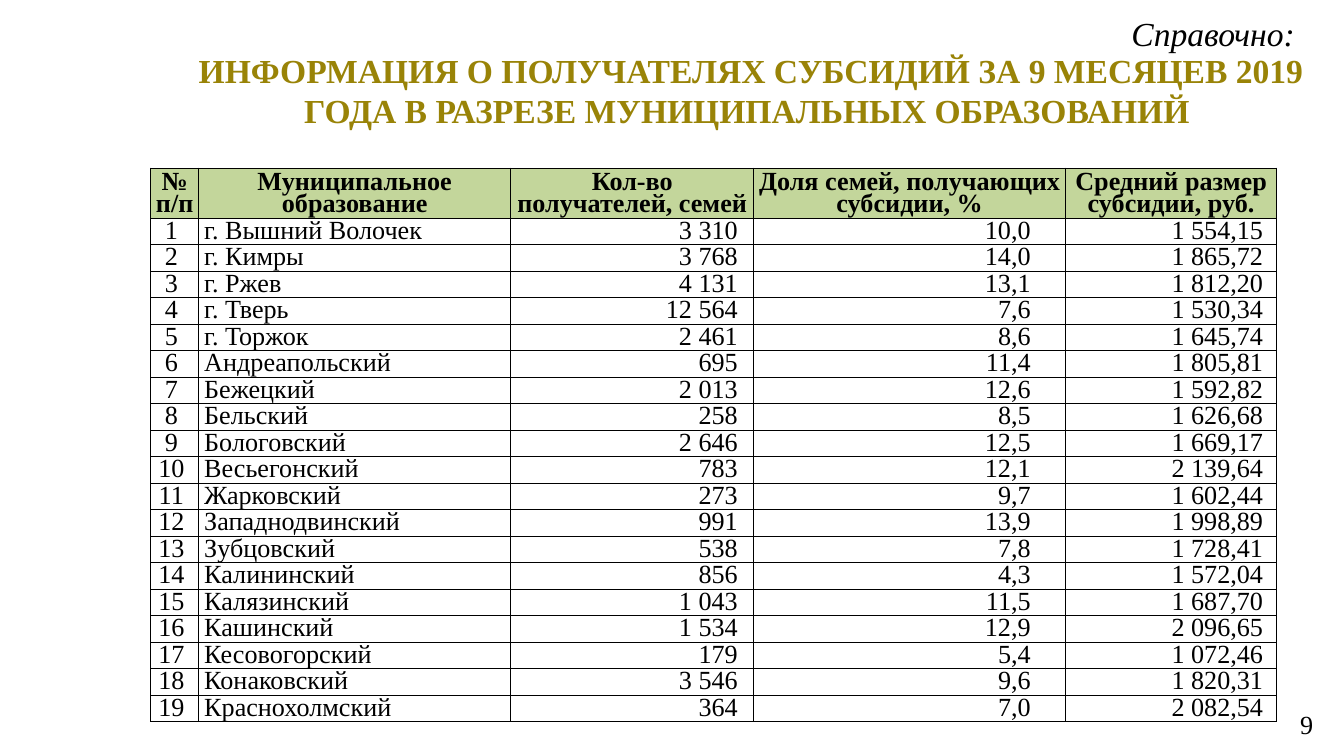
from lxml import etree
from pptx import Presentation
from pptx.dml.color import RGBColor
from pptx.enum.text import MSO_ANCHOR, MSO_AUTO_SIZE, PP_ALIGN
from pptx.oxml.ns import qn
from pptx.util import Inches, Pt

FONT = "Times New Roman"
BLACK = RGBColor(0x00, 0x00, 0x00)
WHITE = RGBColor(0xFF, 0xFF, 0xFF)
GREEN = RGBColor(0xC3, 0xD6, 0x9B)
OLIVE = RGBColor(0x99, 0x83, 0x07)

HEADERS = [
    "№\vп/п",
    "Муниципальное образование",
    "Кол-во получателей, семей",
    "Доля семей, получающих субсидии, %",
    "Средний размер субсидии, руб.",
]
ROWS = [
    ("г. Вышний Волочек", "3 310", "10,0", "1 554,15"),
    ("г. Кимры", "3 768", "14,0", "1 865,72"),
    ("г. Ржев", "4 131", "13,1", "1 812,20"),
    ("г. Тверь", "12 564", "7,6", "1 530,34"),
    ("г. Торжок", "2 461", "8,6", "1 645,74"),
    ("Андреапольский", "695", "11,4", "1 805,81"),
    ("Бежецкий", "2 013", "12,6", "1 592,82"),
    ("Бельский", "258", "8,5", "1 626,68"),
    ("Бологовский", "2 646", "12,5", "1 669,17"),
    ("Весьегонский", "783", "12,1", "2 139,64"),
    ("Жарковский", "273", "9,7", "1 602,44"),
    ("Западнодвинский", "991", "13,9", "1 998,89"),
    ("Зубцовский", "538", "7,8", "1 728,41"),
    ("Калининский", "856", "4,3", "1 572,04"),
    ("Калязинский", "1 043", "11,5", "1 687,70"),
    ("Кашинский", "1 534", "12,9", "2 096,65"),
    ("Кесовогорский", "179", "5,4", "1 072,46"),
    ("Конаковский", "3 546", "9,6", "1 820,31"),
    ("Краснохолмский", "364", "7,0", "2 082,54"),
]
COL_WIDTHS = [0.36, 2.32, 1.81, 2.32, 1.57]
COL_FORMATS = [
    (PP_ALIGN.CENTER, 0, 0.05),
    (PP_ALIGN.LEFT, 0.04, 0),
    (PP_ALIGN.RIGHT, 0, 0.12),
    (PP_ALIGN.RIGHT, 0, 0.26),
    (PP_ALIGN.RIGHT, 0, 0.1),
]
HEADER_HEIGHT = 0.37


def write(tf, text, size=14, color=BLACK, bold=False, italic=False,
          align=PP_ALIGN.LEFT, spacing=None):
    tf.text = text
    p = tf.paragraphs[0]
    p.alignment = align
    if spacing:
        p.line_spacing = Pt(spacing)
    for r in p.runs:
        r.font.name = FONT
        r.font.size = Pt(size)
        r.font.bold = bold
        r.font.italic = italic
        r.font.color.rgb = color


def add_title(slide, left, top, width, height):
    sp = slide.shapes.title
    sp.left, sp.top = Inches(left), Inches(top)
    sp.width, sp.height = Inches(width), Inches(height)
    tf = sp.text_frame
    tf.auto_size = MSO_AUTO_SIZE.NONE
    tf.vertical_anchor = MSO_ANCHOR.MIDDLE
    write(tf, "ИНФОРМАЦИЯ О ПОЛУЧАТЕЛЯХ СУБСИДИЙ ЗА 9 МЕСЯЦЕВ 2019 ГОДА "
              "В РАЗРЕЗЕ МУНИЦИПАЛЬНЫХ ОБРАЗОВАНИЙ ",
          size=18, color=OLIVE, bold=True, align=PP_ALIGN.CENTER)


def add_label(slide, text, left, top, width, height,
              anchor=MSO_ANCHOR.TOP, **fmt):
    sp = slide.shapes.add_textbox(Inches(left), Inches(top),
                                  Inches(width), Inches(height))
    tf = sp.text_frame
    tf.word_wrap = True
    tf.vertical_anchor = anchor
    write(tf, text, **fmt)


def set_borders(cell):
    tc_pr = cell._tc.get_or_add_tcPr()
    for i, side in enumerate(("a:lnL", "a:lnR", "a:lnT", "a:lnB")):
        ln = etree.Element(qn(side), w=str(Pt(0.5)))
        fill = etree.SubElement(ln, qn("a:solidFill"))
        etree.SubElement(fill, qn("a:srgbClr"), val=str(BLACK))
        tc_pr.insert(i, ln)


def fill_cell(cell, text, color, anchor, left, top, right, **fmt):
    cell.margin_left, cell.margin_right = Inches(left), Inches(right)
    cell.margin_top, cell.margin_bottom = Inches(top), 0
    cell.vertical_anchor = anchor
    cell.fill.solid()
    cell.fill.fore_color.rgb = color
    set_borders(cell)
    write(cell.text_frame, text, spacing=12, **fmt)


def add_recipients(slide, left, top, height):
    table = slide.shapes.add_table(
        len(ROWS) + 1, len(HEADERS), Inches(left), Inches(top),
        Inches(sum(COL_WIDTHS)), Inches(height)).table
    for col, width in zip(table.columns, COL_WIDTHS):
        col.width = Inches(width)
    for row in table.rows:
        row.height = Inches((height - HEADER_HEIGHT) / len(ROWS))
    table.rows[0].height = Inches(HEADER_HEIGHT)

    for j, text in enumerate(HEADERS):
        fill_cell(table.cell(0, j), text, GREEN, MSO_ANCHOR.MIDDLE,
                  0.01, 0.04, 0.01, bold=True, align=PP_ALIGN.CENTER)
    for i, values in enumerate(ROWS, 1):
        for j, text in enumerate((str(i), *values)):
            align, inset_left, inset_right = COL_FORMATS[j]
            fill_cell(table.cell(i, j), text, WHITE, MSO_ANCHOR.BOTTOM,
                      inset_left, 0.02, inset_right, align=align)


def main():
    prs = Presentation()
    prs.slide_width = Inches(10)
    prs.slide_height = prs.slide_width * 9 // 16
    slide = prs.slides.add_slide(prs.slide_layouts[5])
    add_label(slide, "9", 7.62, 5.24, 2.25, 0.3,
              anchor=MSO_ANCHOR.MIDDLE, align=PP_ALIGN.RIGHT)
    add_recipients(slide, 1.12, 1.25, 4.12)
    add_title(slide, 1.16, 0.27, 8.86, 0.8)
    add_label(slide, "Справочно:", 8.32, 0.11, 1.43, 0.34,
              size=18, italic=True, align=PP_ALIGN.JUSTIFY, spacing=17)
    prs.save("out.pptx")


if __name__ == "__main__":
    main()
